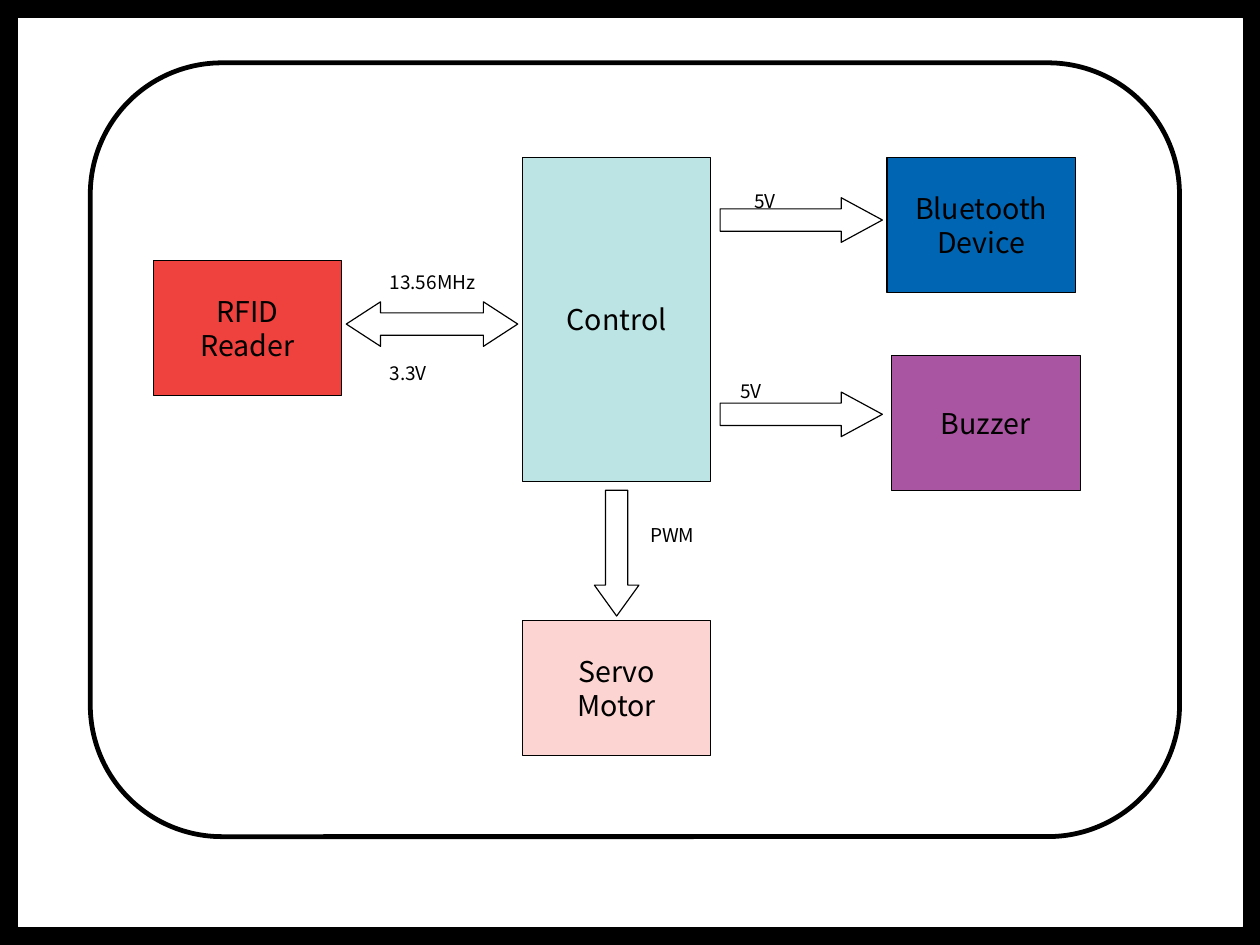
"""Draw the block diagram of an RFID control system."""
from dataclasses import dataclass

from pptx import Presentation
from pptx.dml.color import RGBColor
from pptx.enum.shapes import MSO_SHAPE
from pptx.enum.text import MSO_ANCHOR, PP_ALIGN
from pptx.util import Inches, Pt

RECT, ROUND = MSO_SHAPE.RECTANGLE, MSO_SHAPE.ROUNDED_RECTANGLE
RIGHT, DOWN = MSO_SHAPE.RIGHT_ARROW, MSO_SHAPE.DOWN_ARROW
BOTH = MSO_SHAPE.LEFT_RIGHT_ARROW
MIDDLE, TOP = MSO_ANCHOR.MIDDLE, MSO_ANCHOR.TOP
CENTER, LEFT = PP_ALIGN.CENTER, PP_ALIGN.LEFT
FONT = "Noto Sans CJK KR"
BLACK, WHITE = "000000", "FFFFFF"
CM = 1 / 2.54
WIDE, HIGH = 28 * CM, 21 * CM
BOX_W, BOX_H = 1.65, 1.18
LABEL_W, LABEL_H = 1.26, 0.39
THICK = 0.39


@dataclass
class Block:
    text: str
    x: float
    y: float
    fill: str
    h: float = BOX_H


@dataclass
class Arrow:
    kind: int
    x: float
    y: float
    w: float
    h: float
    head: float


@dataclass
class Label:
    text: str
    x: float
    y: float


BLOCKS = [
    Block("Control", 4.57, 1.38, "BCE4E5", 2.83),
    Block("RFID\nReader", 1.34, 2.28, "EF413D"),
    Block("Servo\nMotor", 4.57, 5.43, "FCD4D1"),
    Block("Buzzer", 7.8, 3.11, "AA55A1"),
    Block("Bluetooth\nDevice", 7.76, 1.38, "0066B3"),
]
ARROWS = [
    Arrow(RIGHT, 6.3, 1.73, 1.42, THICK, 0.36),
    Arrow(RIGHT, 6.3, 3.43, 1.42, THICK, 0.36),
    Arrow(BOTH, 3.03, 2.64, 1.5, THICK, 0.3),
    Arrow(DOWN, 5.2, 4.29, THICK, 1.1, 0.27),
]
LABELS = [
    Label("13.56MHz", 3.31, 2.32),
    Label("3.3V", 3.31, 3.11),
    Label("PWM", 5.59, 4.53),
    Label("5V", 6.5, 1.61),
    Label("5V", 6.38, 3.27),
]


def color(code: str) -> RGBColor:
    """Turn a hex string into a colour."""
    return RGBColor.from_string(code)


def assign(item, values: dict) -> None:
    """Set each named attribute of an item."""
    for name, value in values.items():
        setattr(item, name, value)


def shape(slide, kind: int, x: float, y: float, w: float, h: float,
          fill: str | None, line: str = BLACK, width: float = 0.75):
    """Add a preset shape with a flat fill and an outline."""
    item = slide.shapes.add_shape(kind, *map(Inches, (x, y, w, h)))
    item.shadow.inherit = False
    if fill:
        item.fill.solid()
        item.fill.fore_color.rgb = color(fill)
    else:
        item.fill.background()
    item.line.color.rgb = color(line)
    item.line.width = Pt(width)
    return item


def write(item, text: str, size: int, align: int, frame: dict) -> None:
    """Fill an item with one paragraph for each line of text."""
    body = item.text_frame
    assign(body, frame)
    body.text = text
    for para in body.paragraphs:
        para.alignment = align
        for run in para.runs:
            assign(run.font, {"name": FONT, "size": Pt(size)})
            run.font.color.rgb = color(BLACK)


def block(slide, part: Block) -> None:
    """Draw a coloured box with its name centred."""
    item = shape(slide, RECT, part.x, part.y, BOX_W, part.h, part.fill)
    write(item, part.text, 18, CENTER,
          {"word_wrap": False, "vertical_anchor": MIDDLE})


def arrow(slide, part: Arrow) -> None:
    """Draw a white arrow with a head of the given length."""
    item = shape(slide, part.kind, part.x, part.y, part.w, part.h, WHITE)
    item.adjustments[0] = 0.5
    item.adjustments[1] = part.head / THICK


def label(slide, part: Label) -> None:
    """Place a small text beside an arrow."""
    item = slide.shapes.add_textbox(
        *map(Inches, (part.x, part.y, LABEL_W, LABEL_H)))
    write(item, part.text, 12, LEFT,
          {"word_wrap": True, "vertical_anchor": TOP})


def main() -> None:
    """Build the slide and save it."""
    deck = Presentation()
    assign(deck, {"slide_width": Inches(WIDE), "slide_height": Inches(HIGH)})
    slide = deck.slides.add_slide(deck.slide_layouts[6])
    shape(slide, RECT, 0, 0, WIDE, HIGH, BLACK)
    shape(slide, RECT, 0.16, 0.16, 10.71, 7.95, WHITE, WHITE)
    for draw, parts in ((block, BLOCKS), (arrow, ARROWS), (label, LABELS)):
        for part in parts:
            draw(slide, part)
    frame = shape(slide, ROUND, 0.79, 0.55, 9.53, 6.77, None, width=3)
    frame.adjustments[0] = 0.17


    deck.save("out.pptx")


if __name__ == "__main__":
    main()
